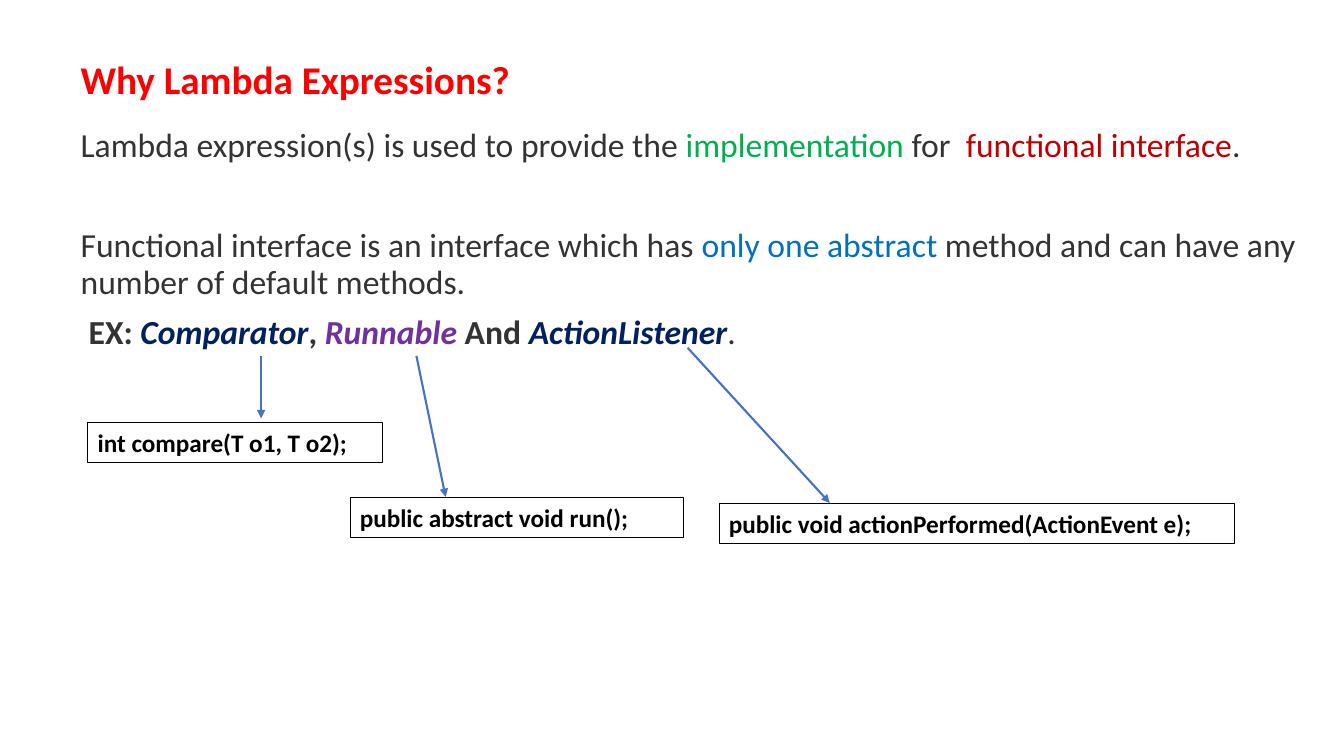
import pptx
import pptx.dml.color
import pptx.enum.shapes
import pptx.enum.text
import pptx.oxml
import pptx.oxml.ns
import pptx.util
from pptx.util import Inches

FONT = "Calibri"
COLORS = {
    "title": "FF0000",
    "text": "333333",
    "green": "00B050",
    "red": "C00000",
    "blue": "0070C0",
    "navy": "002060",
    "purple": "7030A0",
    "black": "000000",
    "arrow": "4472C4",
}

BODY = [
    (0, 0, [
        ("Lambda expression(s) is used to provide the ", "text", ""),
        ("implementation", "green", ""),
        (" for  ", "text", ""),
        ("functional interface", "red", ""),
        (".", "text", ""),
    ]),
    (46, 0, [
        ("Functional interface is an interface which has ", "text", ""),
        ("only one abstract ", "blue", ""),
        ("method and can have any number of default methods.", "text", ""),
    ]),
    (10, 0.08, [
        ("EX: ", "text", "b"),
        ("Comparator", "navy", "bi"),
        (", ", "text", "b"),
        ("Runnable", "purple", "bi"),
        (" And ", "text", "b"),
        ("ActionListener", "navy", "bi"),
        (".", "text", ""),
    ]),
]

METHODS = [
    ("int compare(T o1, T o2);", (0.87, 4.19, 2.92, 0.4), (2.59, 3.53, 2.59, 4.15)),
    ("public abstract void run();", (3.47, 4.93, 3.31, 0.4), (4.13, 3.53, 4.42, 4.93)),
    ("public void actionPerformed(ActionEvent e);", (7.13, 4.99, 5.11, 0.4),
     (6.82, 3.45, 8.23, 4.99)),
]


def color(name):
    return pptx.dml.color.RGBColor.from_string(COLORS[name])


def add_run(paragraph, text, size, color_name, style):
    run = paragraph.add_run()
    run.text = text
    run.font.name = FONT
    run.font.size = pptx.util.Pt(size)
    run.font.color.rgb = color(color_name)
    run.font.bold = "b" in style
    run.font.italic = "i" in style


def place(shape, left, top, width, height):
    shape.left, shape.top = Inches(left), Inches(top)
    shape.width, shape.height = Inches(width), Inches(height)


def fill_title(title):
    place(title, 0.7, 0.4, 11.72, 0.82)
    title.text_frame.auto_size = pptx.enum.text.MSO_AUTO_SIZE.NONE
    title.text_frame.vertical_anchor = pptx.enum.text.MSO_ANCHOR.MIDDLE
    paragraph = title.text_frame.paragraphs[0]
    paragraph.alignment = pptx.enum.text.PP_ALIGN.LEFT
    paragraph.line_spacing = 0.9
    add_run(paragraph, "Why Lambda Expressions?", 28, "title", "b")


def fill_body(body):
    place(body, 0.7, 1.22, 12.27, 5.99)
    frame = body.text_frame
    frame.auto_size = pptx.enum.text.MSO_AUTO_SIZE.NONE
    for index, (space_before, indent, runs) in enumerate(BODY):
        paragraph = frame.add_paragraph() if index else frame.paragraphs[0]
        properties = paragraph._p.get_or_add_pPr()
        properties.set("marL", str(Inches(indent)))
        properties.set("indent", "0")
        properties.append(pptx.oxml.parse_xml(
            f"<a:buNone {pptx.oxml.ns.nsdecls('a')}/>"))
        paragraph.line_spacing = 0.9
        paragraph.space_before = pptx.util.Pt(space_before)
        for text, color_name, style in runs:
            add_run(paragraph, text, 24, color_name, style)


def add_method_box(slide, text, box):
    shape = slide.shapes.add_shape(
        pptx.enum.shapes.MSO_SHAPE.RECTANGLE, *map(Inches, box))
    shape.shadow.inherit = False
    shape.fill.background()
    shape.line.color.rgb = color("black")
    shape.line.width = pptx.util.Pt(0.5)
    shape.text_frame.word_wrap = True
    paragraph = shape.text_frame.paragraphs[0]
    paragraph.alignment = pptx.enum.text.PP_ALIGN.LEFT
    add_run(paragraph, text, 18, "black", "b")


def add_arrow(slide, ends):
    arrow = slide.shapes.add_connector(
        pptx.enum.shapes.MSO_CONNECTOR.STRAIGHT, *map(Inches, ends))
    arrow.line.color.rgb = color("arrow")
    arrow.line.width = pptx.util.Pt(1.5)
    namespace = pptx.oxml.ns.nsdecls("a")
    arrow.line._get_or_add_ln().append(
        pptx.oxml.parse_xml(f'<a:tailEnd {namespace} type="triangle"/>'))
    arrow._element.spPr.append(
        pptx.oxml.parse_xml(f"<a:effectLst {namespace}/>"))


def main():
    presentation = pptx.Presentation()
    presentation.slide_width = Inches(13.33)
    presentation.slide_height = Inches(7.5)
    slide = presentation.slides.add_slide(presentation.slide_layouts[1])
    fill_title(slide.shapes.title)
    fill_body(slide.placeholders[1])
    for text, box, ends in METHODS:
        add_method_box(slide, text, box)
        add_arrow(slide, ends)
    presentation.save("out.pptx")


if __name__ == "__main__":
    main()
